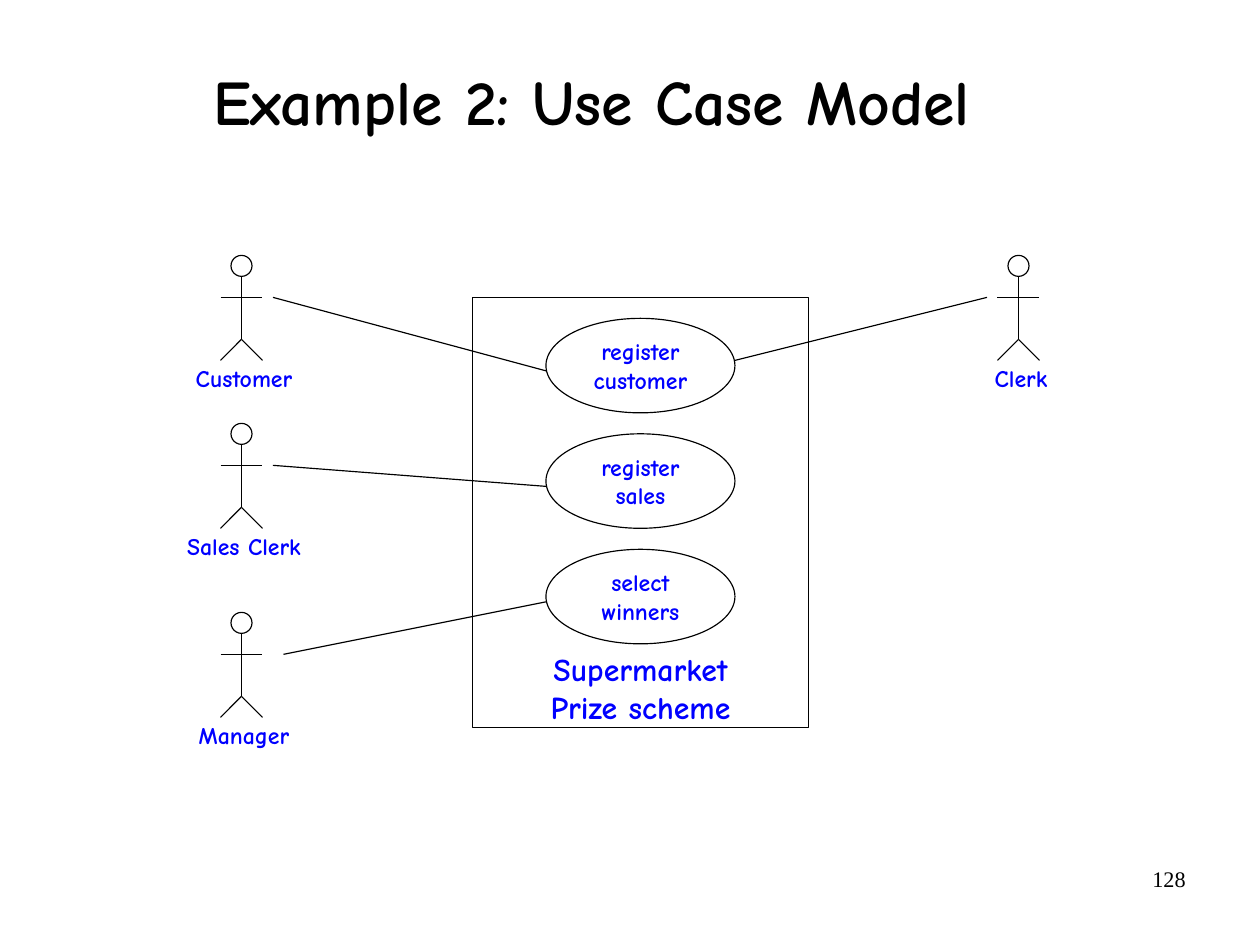
from lxml import etree
from pptx import Presentation
from pptx import util as u
from pptx.dml.color import RGBColor
from pptx.enum import shapes, text
from pptx.oxml import ns

BLACK = RGBColor(0, 0, 0)
BLUE = RGBColor(0, 0, 255)
COMIC = "Comic Neue"

deck = Presentation()
deck.slide_width = u.Cm(28)
deck.slide_height = u.Cm(21)
COLUMN = deck.slide_width / 60
ROW = deck.slide_height / 45
page = deck.slides.add_slide(deck.slide_layouts[5])


def draw(parent, kind, x, y, width, height):
    place = [round(x * COLUMN), round(y * ROW), round(width * COLUMN), round(height * ROW)]
    if kind == "line":
        left, top, across, down = place
        item = parent.add_connector(shapes.MSO_CONNECTOR.STRAIGHT, left, top, left + across, top + down)
    elif kind == "text":
        return parent.add_textbox(*place)
    else:
        item = parent.add_shape(kind, *place)
        item.fill.background()
        item.shadow.inherit = False
    item.line.color.rgb = BLACK
    item.line.width = u.Pt(0.75)
    if kind == "line":
        etree.SubElement(item._element.spPr, ns.qn("a:effectLst"))
    return item


def write(box, words, size, color=BLUE, font=COMIC, align=text.PP_ALIGN.CENTER,
          anchor=text.MSO_ANCHOR.MIDDLE, wrap=False):
    frame = box.text_frame
    frame.text = words
    frame.word_wrap = wrap
    frame.vertical_anchor = anchor
    frame.margin_left = frame.margin_right = u.Inches(0.1)
    frame.margin_top = frame.margin_bottom = u.Inches(0.06)
    for para in frame.paragraphs:
        para.alignment = align
        for span in para.runs:
            span.font.name = font
            span.font.size = u.Pt(size)
            span.font.bold = font == COMIC
            span.font.color.rgb = color
    return frame


title = page.shapes.title
title.left, title.top = u.Inches(0.49), u.Inches(0.2)
title.width, title.height = u.Inches(9.37), u.Inches(1.42)
heading = write(title, "Example 2: Use Case Model", 40, BLACK, wrap=True)
heading.paragraphs[0].line_spacing = 0.94

number = draw(page.shapes, "text", 43, 40.9, 14, 3.1)
write(number, "128", 14, BLACK, "Times New Roman", text.PP_ALIGN.RIGHT, text.MSO_ANCHOR.TOP, True)

TOP = 12.16
system = draw(page.shapes, shapes.MSO_SHAPE.RECTANGLE, 22.5, TOP + 2, 16, 20.5)
caption = write(system, "Supermarket\nPrize scheme", 20, anchor=text.MSO_ANCHOR.BOTTOM)
caption.margin_bottom = u.Inches(0.02)

for index, case in enumerate(["register\ncustomer", "register\nsales", "select\nwinners"]):
    oval = draw(page.shapes, shapes.MSO_SHAPE.OVAL, 26, TOP + 3 + 5.5 * index, 9, 4.5)
    write(oval, case, 15)

LIMBS = [(0, 1, 0, 3), (-1, 2, 2, 0), (0, 4, -1, 1), (0, 4, 1, 1)]
actors = [
    ("Customer", 11.5, 0, 5.8),
    ("Sales Clerk", 11.5, 8, 6.6),
    ("Manager", 11.5, 17, 5.5),
    ("Clerk", 48.5, 0, 3.7),
]
for name, middle, drop, width in actors:
    head = TOP + drop
    figure = page.shapes.add_group_shape().shapes
    draw(figure, shapes.MSO_SHAPE.OVAL, middle - 0.5, head, 1, 1)
    for x, y, across, down in LIMBS:
        draw(figure, "line", middle + x, head + y, across, down)
    label = draw(page.shapes, "text", middle + 0.12 - width / 2, head + 4.85, width, 1.96)
    write(label, name, 15, anchor=text.MSO_ANCHOR.TOP)

links = [(26, 5.5, 13, 2), (26, 11, 13, 10), (26, 16.5, 13.5, 19), (35, 5, 47, 2)]
for start, level, end, hand in links:
    draw(page.shapes, "line", start, TOP + level, end - start, hand - level)

deck.save("out.pptx")
